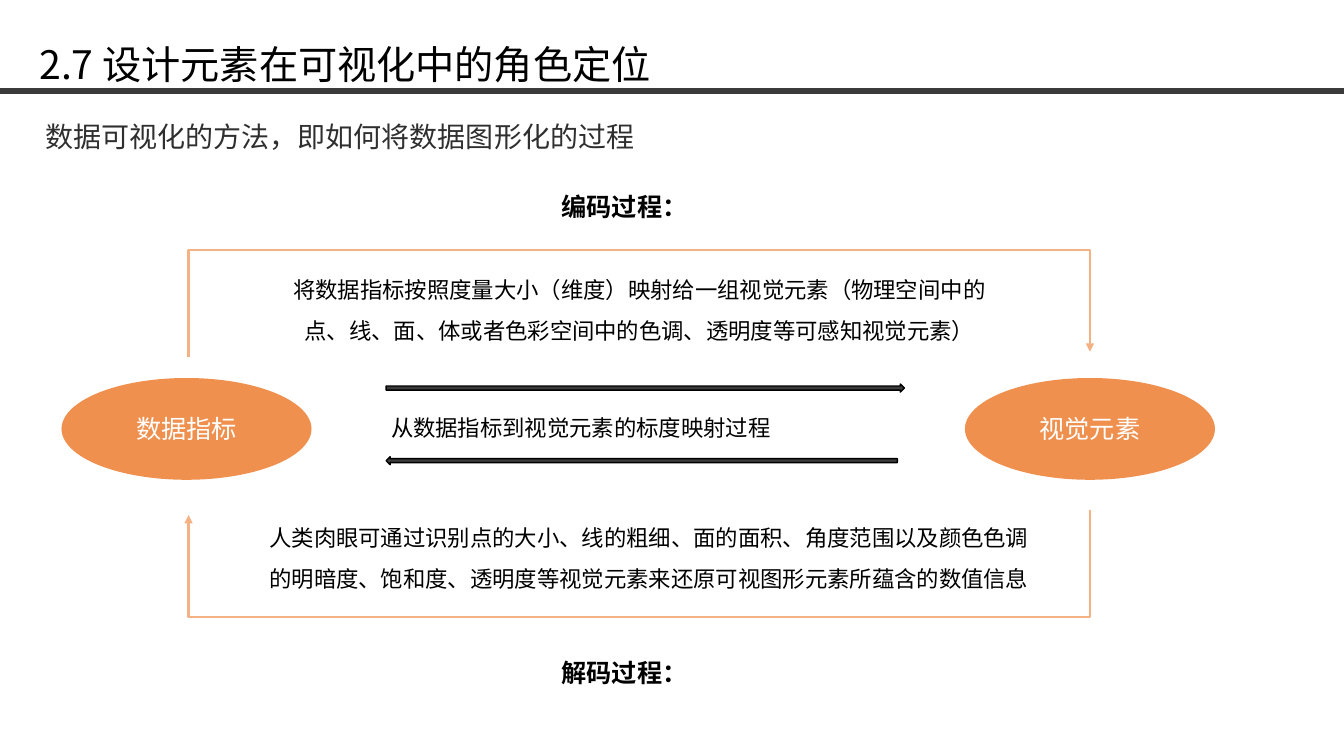
"""Builds the slide on encoding and decoding between data and visual elements."""
from lxml import etree
from pptx import Presentation
from pptx.dml.color import RGBColor
from pptx.enum.shapes import MSO_CONNECTOR, MSO_SHAPE
from pptx.enum.text import MSO_ANCHOR, MSO_AUTO_SIZE, PP_ALIGN
from pptx.oxml.ns import qn
from pptx.util import Inches, Pt

LEFT, CENTER, JUSTIFY = PP_ALIGN.LEFT, PP_ALIGN.CENTER, PP_ALIGN.JUSTIFY
TOP, MIDDLE = MSO_ANCHOR.TOP, MSO_ANCHOR.MIDDLE
OVAL, RIGHT_ARROW, LEFT_ARROW = MSO_SHAPE.OVAL, MSO_SHAPE.RIGHT_ARROW, MSO_SHAPE.LEFT_ARROW
STRAIGHT = MSO_CONNECTOR.STRAIGHT
FIXED = MSO_AUTO_SIZE.NONE

BLACK = RGBColor(0x00, 0x00, 0x00)
WHITE = RGBColor(0xFF, 0xFF, 0xFF)
INK = RGBColor(0x2F, 0x2F, 0x2F)
CHARCOAL = RGBColor(0x3B, 0x3B, 0x3B)
ORANGE = RGBColor(0xEF, 0x90, 0x4F)
PEACH = RGBColor(0xF4, 0xB1, 0x83)
FONT = "Noto Sans CJK SC"

TITLE = "2.7 设计元素在可视化中的角色定位"
SUBTITLE = "数据可视化的方法，即如何将数据图形化的过程"
ENDS = ["数据指标", "视觉元素"]
MAPPING = "从数据指标到视觉元素的标度映射过程"
PROCESSES = [
    ("编码过程：", 1.7,
     "将数据指标按照度量大小（维度）映射给一组视觉元素（物理空间中的点、线、面、体或者色彩空间中的色调、透明度等可感知视觉元素）",
     (2.75, 2.56, 7.19, 0.91)),
    ("解码过程：", 6.32,
     "人类肉眼可通过识别点的大小、线的粗细、面的面积、角度范围以及颜色色调的明暗度、饱和度、透明度等视觉元素来还原可视图形元素所蕴含的数值信息",
     (2.53, 5.02, 7.82, 0.91)),
]
ARROWS = [(RIGHT_ARROW, 3.81, 5.14), (LEFT_ARROW, 4.53, 5.07)]

SLIDE_W, SLIDE_H = 13.33, 7.5
RULE_Y = 0.9
ENDS_LEFT, ENDS_TOP, ENDS_PITCH = 0.61, 3.75, 8.96
ENDS_W, ENDS_H = 2.48, 1.01
ARROW_LEFT, ARROW_H = 3.83, 0.08
AXIS_X, AXIS_Y = 6.34, 4.3
LOOP_X, LOOP_Y = 4.47, 1.82
LOOP_START, LOOP_END = 0.76, 0.81


def inches(*lengths):
    return [Inches(length) for length in lengths]


def write(shape, text, size, color, align=LEFT, spacing=1.0, bold=False, anchor=TOP, wrap=True):
    frame = shape.text_frame
    frame.text = text
    frame.word_wrap = wrap
    frame.vertical_anchor = anchor
    frame.auto_size = FIXED
    paragraph = frame.paragraphs[0]
    paragraph.alignment = align
    paragraph.line_spacing = spacing
    font = paragraph.runs[0].font
    font.name, font.size, font.bold = FONT, Pt(size), bold
    font.color.rgb = color
    east_asian = etree.SubElement(paragraph.runs[0].font._element, qn("a:ea"))
    east_asian.set("typeface", FONT)


def add_text(slide, box, *content, **style):
    write(slide.shapes.add_textbox(*inches(*box)), *content, **style)


def add_solid(slide, kind, box, fill):
    shape = slide.shapes.add_shape(kind, *inches(*box))
    shape.shadow.inherit = False
    shape.fill.solid()
    shape.fill.fore_color.rgb = fill
    return shape


def add_rule(slide):
    rule = slide.shapes.add_connector(STRAIGHT, *inches(0, RULE_Y, SLIDE_W, RULE_Y))
    rule.line.color.rgb = CHARCOAL
    rule.line.width = Pt(4.5)
    etree.SubElement(rule._element.spPr, qn("a:effectLst"))


def add_loop(slide, turn):
    """Draws a three-sided arrow around the axis; turn -1 rotates it by half a circle."""
    offsets = [(-LOOP_X, -LOOP_START), (-LOOP_X, -LOOP_Y), (LOOP_X, -LOOP_Y), (LOOP_X, -LOOP_END)]
    points = [inches(AXIS_X + turn * x, AXIS_Y + turn * y) for x, y in offsets]
    builder = slide.shapes.build_freeform(*points[0])
    builder.add_line_segments(points[1:], close=False)
    loop = builder.convert_to_shape()
    loop.shadow.inherit = False
    loop.fill.background()
    loop.line.color.rgb = PEACH
    loop.line.width = Pt(1.5)
    etree.SubElement(loop.line._get_or_add_ln(), qn("a:tailEnd")).set("type", "triangle")


def main():
    deck = Presentation()
    deck.slide_width, deck.slide_height = inches(SLIDE_W, SLIDE_H)
    slide = deck.slides.add_slide(deck.slide_layouts[5])

    title = slide.shapes.title
    title.left, title.top, title.width, title.height = inches(0.29, -0.12, 6.98, 0.9)
    write(title, TITLE, 28, BLACK, spacing=2.0)
    add_text(slide, (0.35, 1.14, 6.09, 0.44), SUBTITLE, 20, INK, wrap=False)
    add_rule(slide)

    for column, label in enumerate(ENDS):
        box = (ENDS_LEFT + column * ENDS_PITCH, ENDS_TOP, ENDS_W, ENDS_H)
        end = add_solid(slide, OVAL, box, ORANGE)
        end.line.fill.background()
        write(end, label, 18, WHITE, CENTER, anchor=MIDDLE)

    for kind, top, width in ARROWS:
        arrow = add_solid(slide, kind, (ARROW_LEFT, top, width, ARROW_H), CHARCOAL)
        arrow.line.color.rgb = BLACK
        arrow.line.width = Pt(1)
    add_text(slide, (3.78, 4.06, 5.19, 0.37), MAPPING, 16, BLACK, JUSTIFY)

    for turn, (heading, heading_top, detail, detail_box) in zip((1, -1), PROCESSES):
        add_loop(slide, turn)
        add_text(slide, (5.47, heading_top, 1.46, 0.56), heading, 18, BLACK,
                 spacing=1.5, bold=True, wrap=False)
        add_text(slide, detail_box, detail, 16, BLACK, CENTER, spacing=1.5)

    deck.save("out.pptx")


if __name__ == "__main__":
    main()
